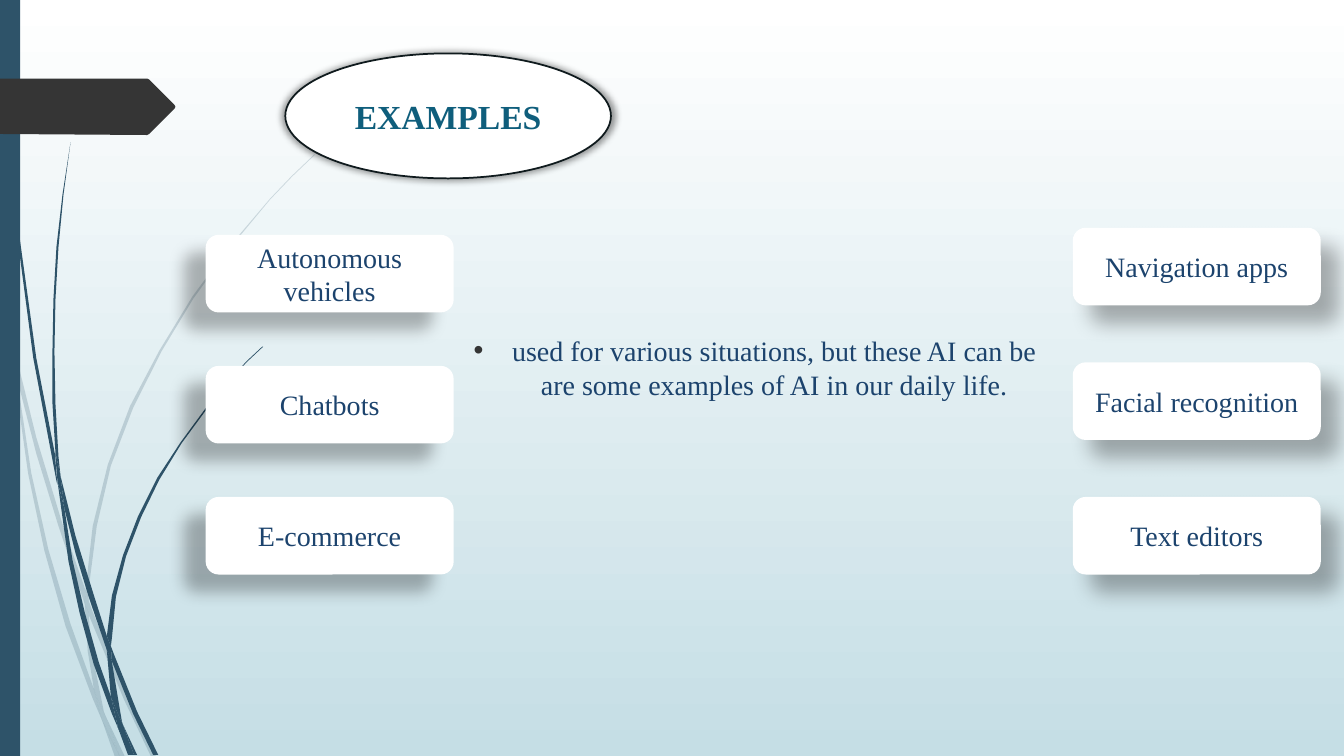
import lxml.etree
import pptx
import pptx.dml.color
import pptx.enum.shapes
import pptx.enum.text
import pptx.oxml
import pptx.oxml.ns
import pptx.util

Inches = pptx.util.Inches
Pt = pptx.util.Pt
RGBColor = pptx.dml.color.RGBColor
MSO_SHAPE = pptx.enum.shapes.MSO_SHAPE
qn = pptx.oxml.ns.qn

WHITE = RGBColor(0xFF, 0xFF, 0xFF)
BLACK = RGBColor(0, 0, 0)
SKY = RGBColor(0xC5, 0xDE, 0xE5)
SLATE = RGBColor(0x2E, 0x53, 0x69)
CHARCOAL = RGBColor(0x35, 0x35, 0x35)
OUTLINE = RGBColor(0x0F, 0x1A, 0x1D)
TEAL = RGBColor(0x0F, 0x5E, 0x7C)
NAVY = RGBColor(0x1C, 0x43, 0x6D)
FONT = "Times New Roman"

# Outlines of the grass blades, in inches on the slide
PALE_BLADES = [
    [(0.11, 3.5), (0.09, 3.22), (0, 2.82), (0, 2.99), (0.1, 3.44)],
    [(0.58, 5.22), (0.84, 5.99), (0.85, 5.86), (0.62, 5.2), (0.36, 4.34),
     (0.14, 3.45), (0.17, 3.76), (0.36, 4.5)],
    [(0.92, 6.07), (0.88, 5.96), (0.88, 6.1), (1.23, 6.94), (1.5, 7.51),
     (1.55, 7.51), (1.27, 6.92)],
    [(1.19, 7.51), (1.24, 7.51), (1.05, 7.11)],
    [(0.93, 6.83), (0.7, 6.19), (0.48, 5.45), (0.31, 4.69), (0.17, 3.76),
     (0.11, 3.5), (0.28, 4.7), (0.44, 5.46), (0.65, 6.21), (0.92, 6.93),
     (1.01, 7.14), (0.99, 7.07)],
    [(0.84, 5.99), (0.87, 6.46), (0.93, 6.83), (0.96, 6.92), (1.05, 7.11),
     (1.03, 7.06), (0.91, 6.46), (0.88, 6.1), (0.88, 6.08)],
    [(0.88, 5.84), (0.96, 5.22), (1.1, 4.62), (1.32, 4.05), (1.6, 3.49),
     (1.92, 2.96), (2.29, 2.45), (2.68, 1.98), (2.9, 1.75), (3.12, 1.54),
     (3.12, 1.53), (2.89, 1.75), (2.68, 1.97), (2.28, 2.44), (1.91, 2.94),
     (1.58, 3.48), (1.29, 4.03), (1.07, 4.61), (0.92, 5.22), (0.85, 5.84),
     (0.85, 5.86), (0.88, 5.96)],
    [(1.01, 7.14), (1.14, 7.51), (1.19, 7.51)],
    [(0.88, 6.08), (0.88, 5.96), (0.85, 5.86), (0.84, 5.99)],
    [(0.96, 6.92), (0.93, 6.83), (0.99, 7.07), (1.01, 7.14), (1.19, 7.51),
     (1.05, 7.11)],
]
DARK_BLADES = [
    [(0.07, 1.1), (0.17, 2.33), (0.33, 3.55), (0.56, 4.77), (0.57, 4.81),
     (0.55, 4.57), (0.55, 4.53), (0.36, 3.55), (0.19, 2.32), (0.08, 1.09),
     (0.05, 0.48), (0.04, 0), (0.03, 0), (0.04, 0.48)],
    [(0.88, 5.92), (1.06, 6.45), (1.06, 6.31), (0.93, 5.9), (0.75, 5.32),
     (0.6, 4.72), (0.64, 5.05), (0.75, 5.49)],
    [(1.13, 6.49), (1.1, 6.41), (1.11, 6.56), (1.32, 7.08), (1.52, 7.49),
     (1.57, 7.49), (1.36, 7.06)],
    [(1.1, 6.91), (0.98, 6.57), (0.84, 6.07), (0.72, 5.56), (0.64, 5.05),
     (0.57, 4.77), (0.68, 5.57), (0.79, 6.08), (0.93, 6.59), (1.11, 7.08),
     (1.17, 7.22), (1.16, 7.17)],
    [(0.6, 4.72), (0.58, 4.53), (0.55, 4.01), (0.54, 3.49), (0.55, 2.97),
     (0.58, 2.45), (0.63, 1.93), (0.7, 1.41), (0.62, 1.93), (0.56, 2.45),
     (0.53, 2.97), (0.52, 3.49), (0.52, 4), (0.55, 4.49)],
    [(1.33, 7.49), (1.36, 7.49), (1.22, 7.19)],
    [(0.57, 4.77), (0.64, 5.05), (0.6, 4.72), (0.55, 4.49), (0.55, 4.53)],
    [(1.11, 6.33), (1.15, 5.92), (1.25, 5.52), (1.4, 5.13), (1.58, 4.76),
     (1.8, 4.4), (2.05, 4.06), (2.31, 3.74), (2.45, 3.59), (2.61, 3.44),
     (2.6, 3.44), (2.45, 3.58), (2.31, 3.73), (2.04, 4.05), (1.79, 4.39),
     (1.56, 4.74), (1.37, 5.12), (1.22, 5.51), (1.11, 5.91), (1.06, 6.31),
     (1.1, 6.41)],
    [(1.17, 7.22), (1.27, 7.49), (1.31, 7.49)],
    [(1.06, 6.45), (1.1, 6.91), (1.16, 7.06), (1.22, 7.19), (1.21, 7.16),
     (1.11, 6.56), (1.09, 6.51)],
    [(1.06, 6.45), (1.11, 6.56), (1.1, 6.41), (1.06, 6.31)],
    [(1.16, 7.06), (1.1, 6.91), (1.16, 7.17), (1.17, 7.22), (1.3, 7.49),
     (1.33, 7.49), (1.22, 7.19)],
]
TAB = [(1.73, 1.08), (1.48, 1.33), (1.46, 1.34), (0, 1.33), (0, 0.78),
       (1.46, 0.78), (1.48, 0.79), (1.73, 1.04), (1.74, 1.06)]


def paint(shape, color):
    shape.shadow.inherit = False
    shape.fill.solid()
    shape.fill.fore_color.rgb = color
    shape.line.fill.background()


def set_alpha(color, percent):
    lxml.etree.SubElement(color, qn("a:alpha")).set("val", str(percent * 1000))


def add_outline(s, points, color, opacity=100):
    points = [(Inches(x), Inches(y)) for x, y in points]
    builder = s.shapes.build_freeform(*points[0])
    builder.add_line_segments(points[1:])
    shape = builder.convert_to_shape()
    paint(shape, color)
    if opacity < 100:
        set_alpha(shape._element.spPr.find(".//" + qn("a:srgbClr")), opacity)


def add_shadow(shape, opacity, blur, dist, angle, scale=100):
    effects = shape._element.spPr.find(qn("a:effectLst"))
    outer = lxml.etree.SubElement(effects, qn("a:outerShdw"))
    for name, value in (("blurRad", Pt(blur)), ("dist", Pt(dist)),
                        ("dir", angle * 60000), ("sx", scale * 1000),
                        ("sy", scale * 1000)):
        outer.set(name, str(int(value)))
    outer.set("algn", "ctr")
    outer.set("rotWithShape", "0")
    color = lxml.etree.SubElement(outer, qn("a:srgbClr"))
    color.set("val", str(BLACK))
    set_alpha(color, opacity)


def write(shape, text, size, color, bold=False):
    tf = shape.text_frame
    tf.word_wrap = True
    tf.text = text
    p = tf.paragraphs[0]
    p.alignment = pptx.enum.text.PP_ALIGN.CENTER
    font = p.runs[0].font
    font.name, font.size, font.bold = FONT, Pt(size), bold
    font.color.rgb = color
    return p


def add_bubble(s, kind, box, text, size, color, shadow, bold=False):
    bubble = s.shapes.add_shape(kind, *map(Inches, box))
    paint(bubble, WHITE)
    add_shadow(bubble, *shadow)
    write(bubble, text, size, color, bold)
    bubble.text_frame.vertical_anchor = pptx.enum.text.MSO_ANCHOR.MIDDLE
    return bubble


def add_backdrop(s, height):
    fill = s.background.fill
    fill.gradient()
    fill.gradient_angle = 270
    for stop, color in zip(fill.gradient_stops, (WHITE, SKY)):
        stop.color.rgb = color
    for blades, opacity in ((PALE_BLADES, 20), (DARK_BLADES, 100)):
        for blade in blades:
            add_outline(s, blade, SLATE, opacity)
    # Side bar and page tab
    bar = s.shapes.add_shape(MSO_SHAPE.RECTANGLE, 0, 0, Inches(0.2), Inches(height))
    paint(bar, SLATE)
    add_outline(s, TAB, CHARCOAL)


def add_title(s, box):
    title = add_bubble(s, MSO_SHAPE.OVAL, box, "EXAMPLES", 24, TEAL,
                       (40, 5, 0, 0, 102), bold=True)
    title.line.color.rgb = OUTLINE
    title.line.width = Pt(1.25)


def add_statement(s, box):
    tb = s.shapes.add_textbox(*map(Inches, box))
    p = write(tb, "used for various situations, but these AI can be "
                  "are some examples of AI in our daily life.", 20, NAVY)
    p.space_before = Pt(10)
    pPr = p._p.get_or_add_pPr()
    pPr.set("marL", str(Inches(0.38)))
    pPr.set("indent", str(-Inches(0.38)))
    color = lxml.etree.SubElement(pPr, qn("a:buClr"))
    lxml.etree.SubElement(color, qn("a:srgbClr")).set("val", str(CHARCOAL))
    lxml.etree.SubElement(pPr, qn("a:buFont")).set("typeface", "Arial")
    lxml.etree.SubElement(pPr, qn("a:buChar")).set("char", "•")


def add_cards(s, box, labels, shadow):
    left, top, width, height = box
    card_height = 0.77
    pitch = (height - card_height) / (len(labels) - 1)
    for i, label in enumerate(labels):
        add_bubble(s, MSO_SHAPE.ROUNDED_RECTANGLE,
                   (left, top + i * pitch, width, card_height),
                   label, 20, NAVY, shadow)


def main():
    prs = pptx.Presentation()
    prs.slide_width, prs.slide_height = Inches(13.33), Inches(7.5)
    s = prs.slides.add_slide(prs.slide_layouts[6])
    add_backdrop(s, 7.5)
    add_statement(s, (4.51, 3.26, 5.96, 1.24))
    add_title(s, (2.83, 0.53, 3.23, 1.24))
    add_cards(s, (10.64, 2.26, 2.46, 3.44),
              ["Navigation apps", "Facial recognition", "Text editors"],
              (30, 15, 18, 45))
    add_cards(s, (2.04, 2.33, 2.46, 3.37),
              ["Autonomous vehicles", "Chatbots", "E-commerce"],
              (28, 11.8, 19.7, 141))
    prs.save("out.pptx")


if __name__ == "__main__":
    main()
